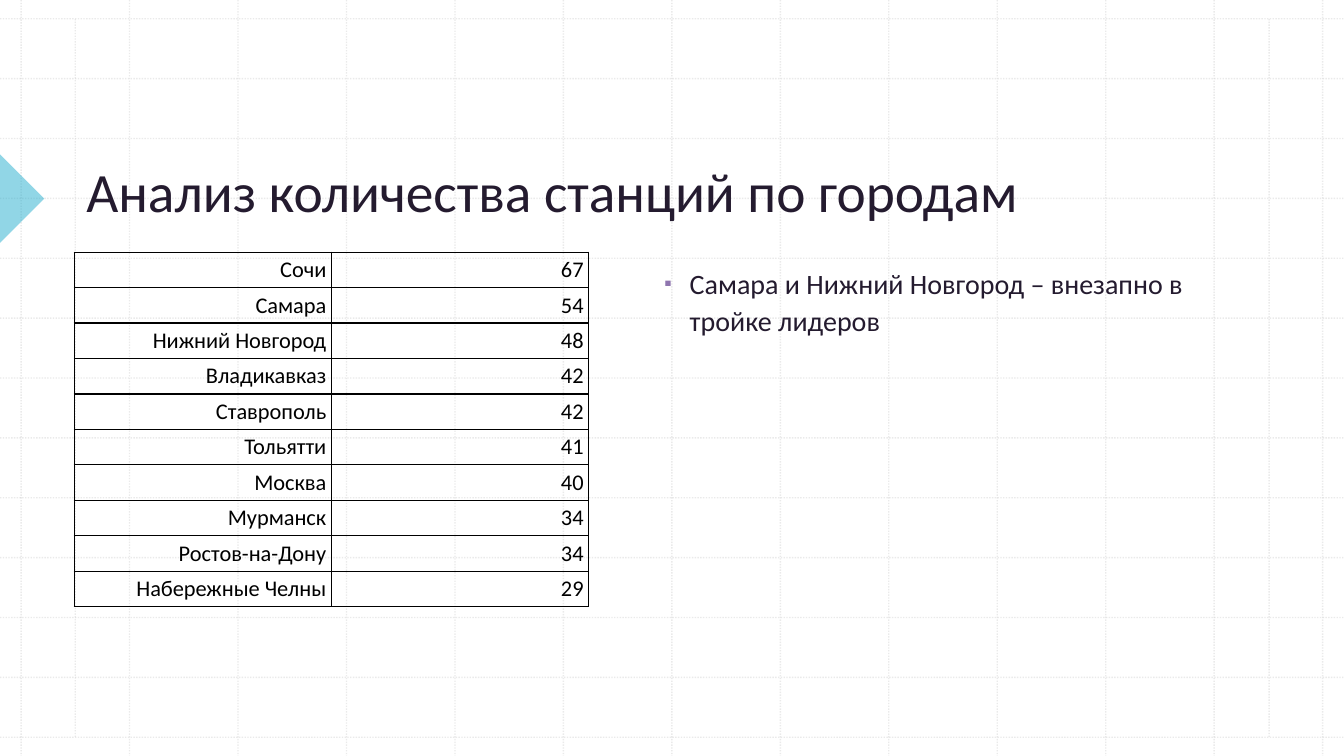
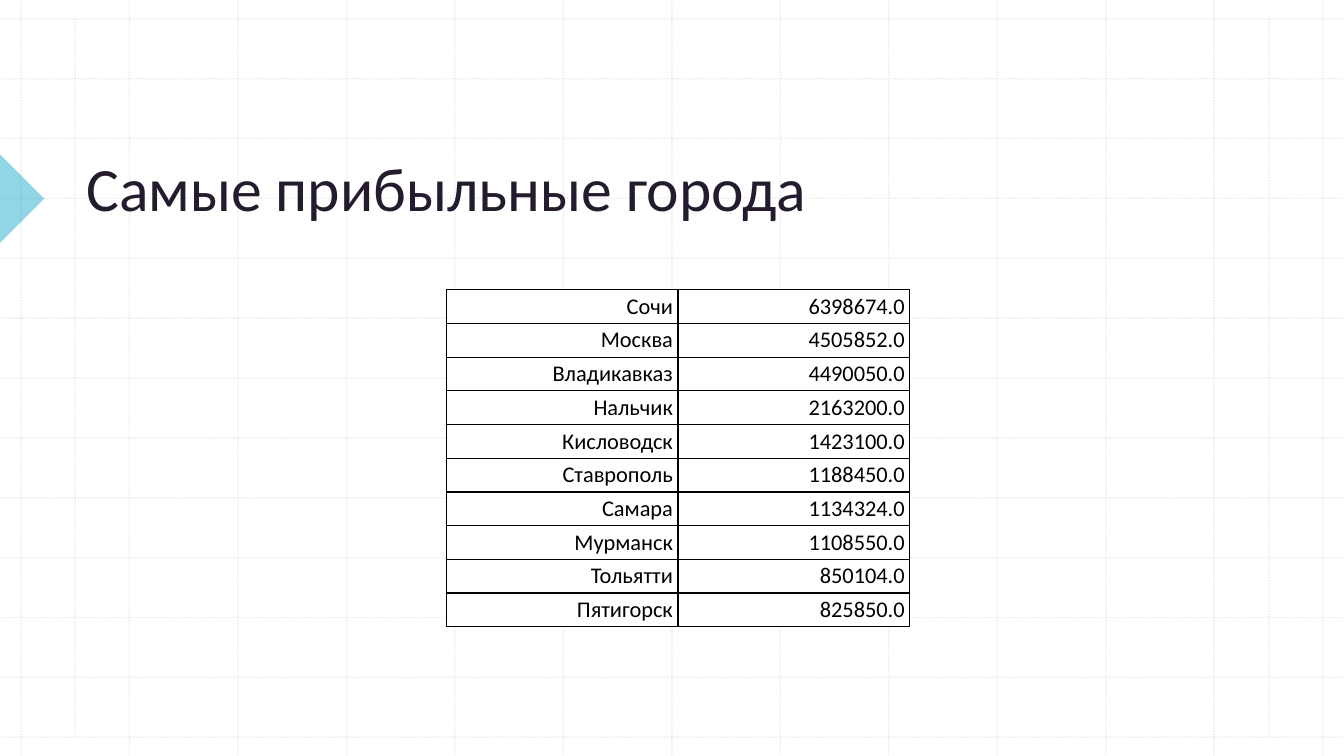
from pptx import Presentation, util as u
from pptx.dml.color import RGBColor
from pptx.enum import dml, shapes, text
from pptx.oxml import parse_xml
from pptx.oxml.ns import nsdecls

INK, BLACK, WHITE = "241B2F", "000000", "FFFFFF"
GRID, ACCENT, BULLET = "BCBCBC", "25AECE", "8F75AF"


def rgb(code):
    return RGBColor.from_string(code)


def node(tag, attrs="", inner=""):
    return parse_xml(f"<a:{tag} {nsdecls('a')} {attrs}>{inner}</a:{tag}>")


def solid(code):
    return f'<a:solidFill><a:srgbClr val="{code}"/></a:solidFill>'


class Deck:
    """Holds the style and the current slide; places are percent of the slide."""

    font = "Calibri"

    def __init__(self, wide=13.33, high=7.5):
        self.prs = Presentation()
        self.prs.slide_width = u.Inches(wide)
        self.prs.slide_height = u.Inches(high)
        self.slide = None

    def x(self, share):
        return u.Emu(round(self.prs.slide_width * share / 100))

    def y(self, share):
        return u.Emu(round(self.prs.slide_height * share / 100))

    def box(self, left, top, wide, high):
        return self.x(left), self.y(top), self.x(wide), self.y(high)

    def place(self, item, *area):
        item.left, item.top, item.width, item.height = self.box(*area)

    def style(self, para, size, color):
        for run in para.runs:
            run.font.name, run.font.size = self.font, u.Pt(size)
            run.font.color.rgb = rgb(color)

    def fade(self, fill, share):
        """Make a solid fill partly transparent."""
        fill.find(".//" + "{*}srgbClr").append(node("alpha", f'val="{share * 1000}"'))

    def share(self, item):
        """Move a drawn item to the master, behind its placeholders."""
        tree = self.prs.slide_master.shapes._spTree
        item._element.xpath(".//p:cNvPr")[0].set("id", str(100 + len(tree)))
        tree.insert(2 + self.count, item._element)
        self.count += 1

    def rule(self, x1, y1, x2, y2):
        line = self.slide.shapes.add_connector(
            shapes.MSO_CONNECTOR.STRAIGHT,
            self.x(x1), self.y(y1), self.x(x2), self.y(y2))
        line.line.color.rgb = rgb(GRID)
        line.line.width = u.Pt(1)
        line.line.dash_style = dml.MSO_LINE.ROUND_DOT
        props = line._element.spPr
        self.fade(props, 30)
        props.append(node("effectLst"))
        self.share(line)

    def marker(self):
        side = u.Inches(0.62)
        mark = self.slide.shapes.add_shape(
            shapes.MSO_SHAPE.RIGHT_TRIANGLE, -side // 2, self.y(22.13), side, side)
        mark.rotation = 225
        mark.shadow.inherit = False
        mark.fill.solid()
        mark.fill.fore_color.rgb = rgb(ACCENT)
        self.fade(mark._element.spPr, 50)
        mark.line.fill.background()
        self.share(mark)

    def backdrop(self):
        """Dotted grid of 12 by 12 cells, two margins and the title marker."""
        self.count = 0
        for i in range(13):
            col, row = 1.57 + 8.07 * i, 2.48 + 7.92 * i
            self.rule(col, 0, col, 100)
            self.rule(0, row, 100, row)
        for edge in (5.6, 94.43):
            self.rule(edge, 2.5, edge, 97.5)
        self.marker()

    def page(self, layout, title, size):
        first = self.slide is None
        self.slide = self.prs.slides.add_slide(
            self.prs.slide_layouts.get_by_name(layout))
        if first:
            self.backdrop()
        head = self.slide.shapes.title
        self.place(head, 5.67, 10.53, 84.62, 19.73)
        frame = head.text_frame
        frame.text = title
        frame.auto_size = text.MSO_AUTO_SIZE.NONE
        frame.vertical_anchor = text.MSO_ANCHOR.BOTTOM
        para = frame.paragraphs[0]
        para.alignment = text.PP_ALIGN.LEFT
        self.style(para, size, INK)

    def bullets(self, items, *area):
        body = self.slide.placeholders[1]
        self.place(body, *area)
        frame = body.text_frame
        frame.text = "\n".join(items)
        frame.auto_size = text.MSO_AUTO_SIZE.NONE
        for para in frame.paragraphs:
            para.line_spacing, para.space_before = 1.1, u.Pt(10)
            self.style(para, 20, INK)
            props = para._p.get_or_add_pPr()
            indent = u.Inches(0.25)
            props.set("marL", str(indent))
            props.set("indent", str(-indent))
            props.append(node("buClr", "", f'<a:srgbClr val="{BULLET}"/>'))
            props.append(node("buSzPct", 'val="75000"'))
            props.append(node("buFont", f'typeface="{self.font}"'))
            props.append(node("buChar", 'char="▪"'))

    def cell(self, cell, value, fill, edges):
        cell.text = value
        cell.vertical_anchor = text.MSO_ANCHOR.MIDDLE
        cell.margin_left = cell.margin_right = u.Inches(0.05)
        cell.margin_top = cell.margin_bottom = u.Inches(0.02)
        para = cell.text_frame.paragraphs[0]
        para.alignment = text.PP_ALIGN.RIGHT
        self.style(para, 16, BLACK)
        if not value:
            para._p.get_or_add_endParaRPr().set("sz", "1600")
        if value and fill:
            cell.fill.solid()
            cell.fill.fore_color.rgb = rgb(fill)
        else:
            cell.fill.background()
        props = cell._tc.get_or_add_tcPr()
        for i, side in enumerate("LRTB"):
            paint = solid(BLACK) if side in edges else "<a:noFill/>"
            props.insert(i, node("ln" + side, f'w="{u.Pt(1)}"', paint))

    def table(self, rows, *area, fill=None):
        """Rule the filled cells; blank ones keep only the edge they share."""
        grid = self.slide.shapes.add_table(
            len(rows), len(rows[0]), *self.box(*area)).table
        grid.first_row = grid.horz_banding = False
        for r, row in enumerate(rows):
            for c, value in enumerate(row):
                edges = "LRTB" if value else ""
                if not value and any(row):
                    edges = "R"
                elif not value and c:
                    edges = "B"
                self.cell(grid.cell(r, c), value, fill, edges)


HEAD = ("", "", "")
STATIONS = [
    ("Сочи", "67"), ("Самара", "54"), ("Нижний Новгород", "48"),
    ("Владикавказ", "42"), ("Ставрополь", "42"), ("Тольятти", "41"),
    ("Москва", "40"), ("Мурманск", "34"), ("Ростов-на-Дону", "34"),
    ("Набережные Челны", "29"),
]
PROFIT = [
    ("Сочи", "6398674.0"), ("Москва", "4505852.0"),
    ("Владикавказ", "4490050.0"), ("Нальчик", "2163200.0"),
    ("Кисловодск", "1423100.0"), ("Ставрополь", "1188450.0"),
    ("Самара", "1134324.0"), ("Мурманск", "1108550.0"),
    ("Тольятти", "850104.0"), ("Пятигорск", "825850.0"),
]


def lead(rows):
    """Put the blank index column before each row."""
    return [("", *row) for row in rows]


def main():
    deck = Deck()

    # Stations by city
    deck.page("Title and Content", "Анализ количества станций по городам", 39.6)
    deck.table([HEAD] + lead(STATIONS), -13.62, 28.67, 57.42, 51.6)
    deck.bullets(["Самара и Нижний Новгород – внезапно в тройке лидеров"],
                 48.69, 34.2, 41.56, 47.73)

    # Most profitable cities
    deck.page("Title Only", "Самые прибыльные города", 44)
    deck.table(lead(PROFIT), 15.95, 38.33, 51.75, 44.6, fill=WHITE)

    deck.prs.save("out.pptx")


if __name__ == "__main__":
    main()
